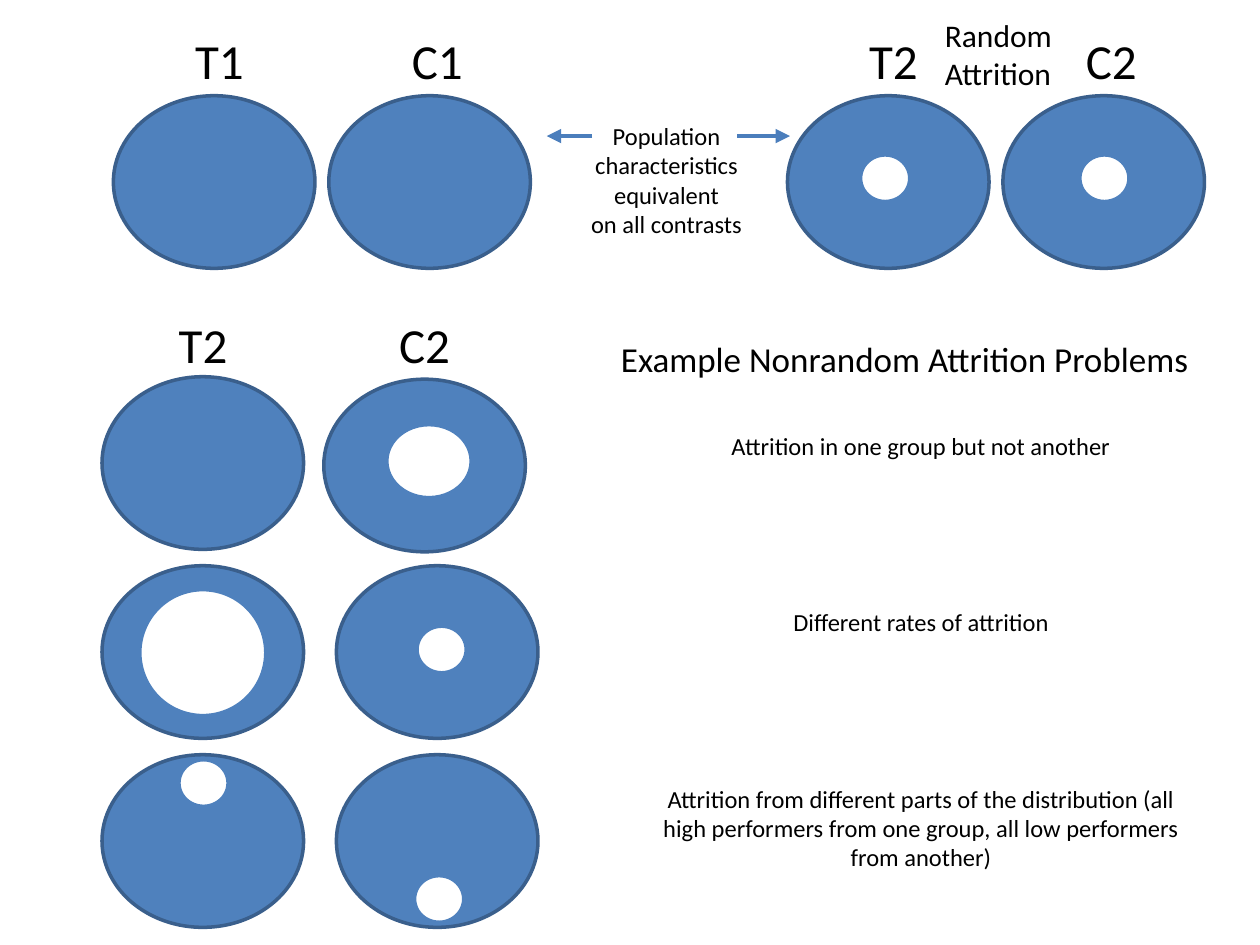
from dataclasses import dataclass

from lxml import etree
from pptx import Presentation
from pptx.dml.color import RGBColor
from pptx.enum.shapes import MSO_CONNECTOR, MSO_SHAPE
from pptx.enum.text import MSO_AUTO_SIZE, PP_ALIGN
from pptx.oxml.ns import qn
from pptx.util import Inches, Pt


@dataclass(frozen=True)
class Theme:
    font: str = "Calibri"
    text: RGBColor = RGBColor(0x00, 0x00, 0x00)
    group: RGBColor = RGBColor(0x4F, 0x81, 0xBD)
    group_edge: RGBColor = RGBColor(0x3A, 0x5F, 0x8C)
    loss: RGBColor = RGBColor(0xFF, 0xFF, 0xFF)
    arrow: RGBColor = RGBColor(0x4B, 0x7E, 0xBC)
    label_size: int = 28
    heading_size: int = 20
    caption_size: int = 18
    body_size: int = 14


theme = Theme()

presentation = Presentation()
presentation.slide_width = Inches(10)
presentation.slide_height = Inches(7.5)
slide = presentation.slides.add_slide(presentation.slide_layouts[6])


def add_text(left, top, width, height, lines, size, centred=False, gap=0):
    """Add a text box; centred text wraps, other text keeps its lines."""
    box = slide.shapes.add_textbox(
        Inches(left), Inches(top), Inches(width), Inches(height))
    frame = box.text_frame
    frame.word_wrap = centred
    frame.auto_size = MSO_AUTO_SIZE.SHAPE_TO_FIT_TEXT
    frame.text = "\n".join(lines)
    for index, paragraph in enumerate(frame.paragraphs):
        if centred:
            paragraph.alignment = PP_ALIGN.CENTER
        if gap and index:
            paragraph.space_before = Pt(gap)
        for run in paragraph.runs:
            run.font.name = theme.font
            run.font.size = Pt(size)
            run.font.color.rgb = theme.text


def add_ellipse(left, top, width, height, fill, edge):
    shape = slide.shapes.add_shape(
        MSO_SHAPE.OVAL, Inches(left), Inches(top), Inches(width), Inches(height))
    shape.shadow.inherit = False
    shape.fill.solid()
    shape.fill.fore_color.rgb = fill
    shape.line.color.rgb = edge
    shape.line.width = Pt(2)


# Groups: before attrition, after random attrition, then three problem rows
groups = [
    (0.9, 0.76), (2.61, 0.76), (6.25, 0.76), (7.96, 0.76),
    (0.81, 2.99), (2.57, 3.01),
    (0.81, 4.49), (2.67, 4.49),
    (0.81, 5.99), (2.67, 5.99),
]
for left, top in groups:
    add_ellipse(left, top, 1.6, 1.37, theme.group, theme.group_edge)

# Members lost from the groups
small = (0.39, 0.37)
losses = [
    (6.83, 1.23, *small), (8.57, 1.23, *small),
    (3.07, 3.37, 0.67, 0.58),
    (1.11, 4.68, 1, 1), (3.31, 4.97, *small),
    (1.42, 6.03, *small), (3.29, 6.95, *small),
]
for left, top, width, height in losses:
    add_ellipse(left, top, width, height, theme.loss, theme.group)

# Group labels, in boxes wide enough to hold each on one line
label_widths = {"T": 0.6, "C": 0.63}
labels = [
    ("T1", 1.45, 0.19), ("C1", 3.17, 0.19),
    ("T2", 6.8, 0.19), ("C2", 8.52, 0.19),
    ("T2", 1.32, 2.45), ("C2", 3.07, 2.45),
]
for label, left, top in labels:
    add_text(left, top, label_widths[label[0]], 0.57, [label], theme.label_size)

# Captions and heading
add_text(7.4, 0.08, 1.12, 0.71, ["Random", "Attrition"], theme.caption_size)
add_text(4.25, 0.91, 2.08, 1.04,
         ["Population characteristics equivalent", "on all contrasts"],
         theme.body_size, centred=True)
add_text(4.83, 2.63, 4.76, 0.44, ["Example Nonrandom Attrition Problems"],
         theme.heading_size)

# Problem descriptions, spaced to sit beside their rows
problems = [
    "Attrition in one group but not another",
    "Different rates of attrition",
    "Attrition from different parts of the distribution (all high performers "
    "from one group, all low performers from another)",
]
add_text(5.09, 3.37, 4.44, 3.64, problems, theme.body_size, centred=True, gap=84)

# Arrows from the equivalence caption to both pairs
arrow_y = Inches(1.08)
for start, end in [(4.7, 4.34), (5.85, 6.27)]:
    arrow = slide.shapes.add_connector(
        MSO_CONNECTOR.STRAIGHT, Inches(start), arrow_y, Inches(end), arrow_y)
    arrow.line.color.rgb = theme.arrow
    arrow.line.width = Pt(2.75)
    etree.SubElement(arrow.line._get_or_add_ln(), qn("a:tailEnd"), type="triangle")
    etree.SubElement(arrow._element.spPr, qn("a:effectLst"))

presentation.save("out.pptx")
